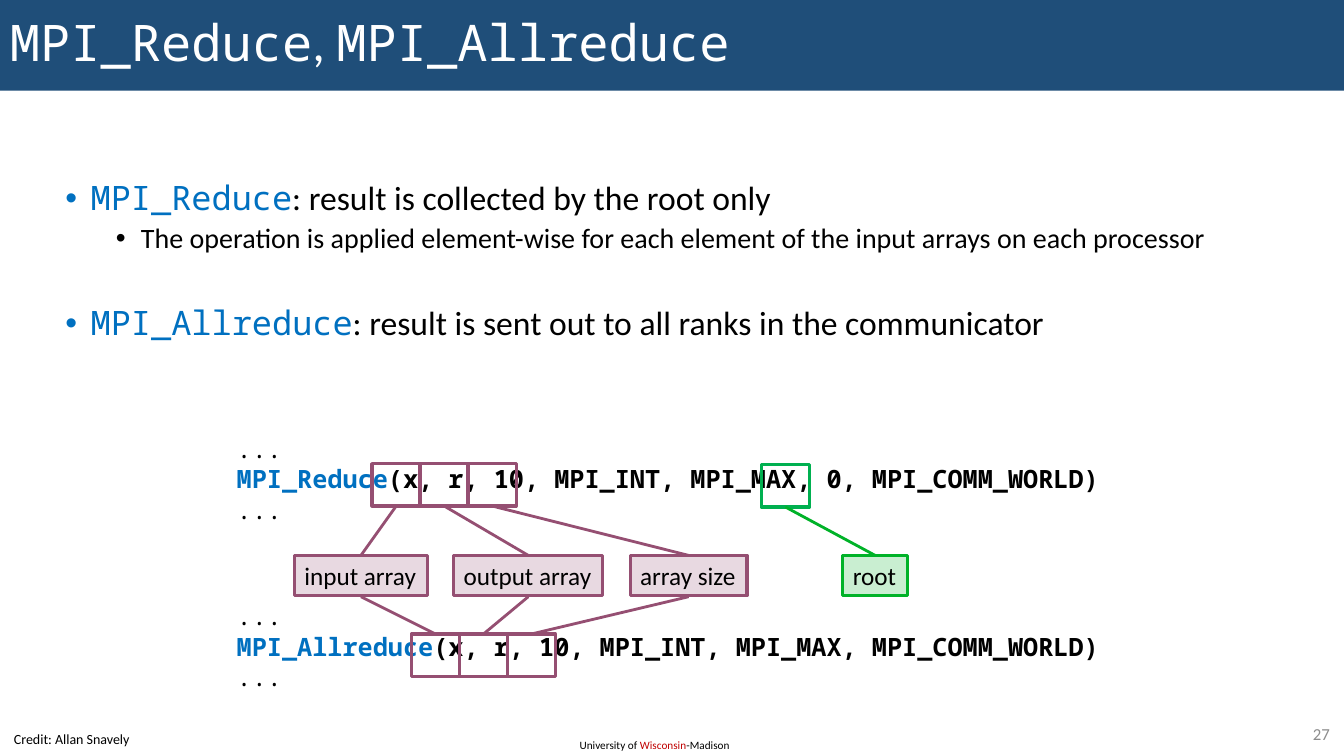
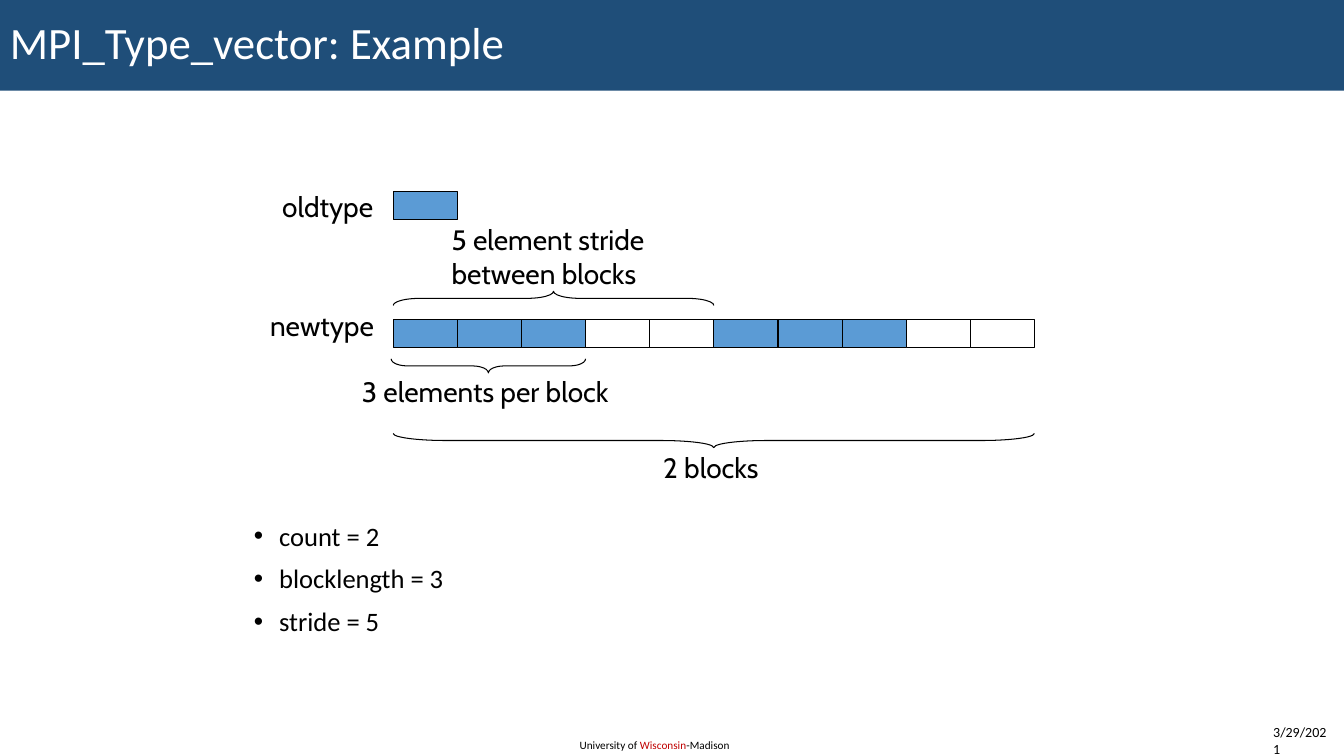
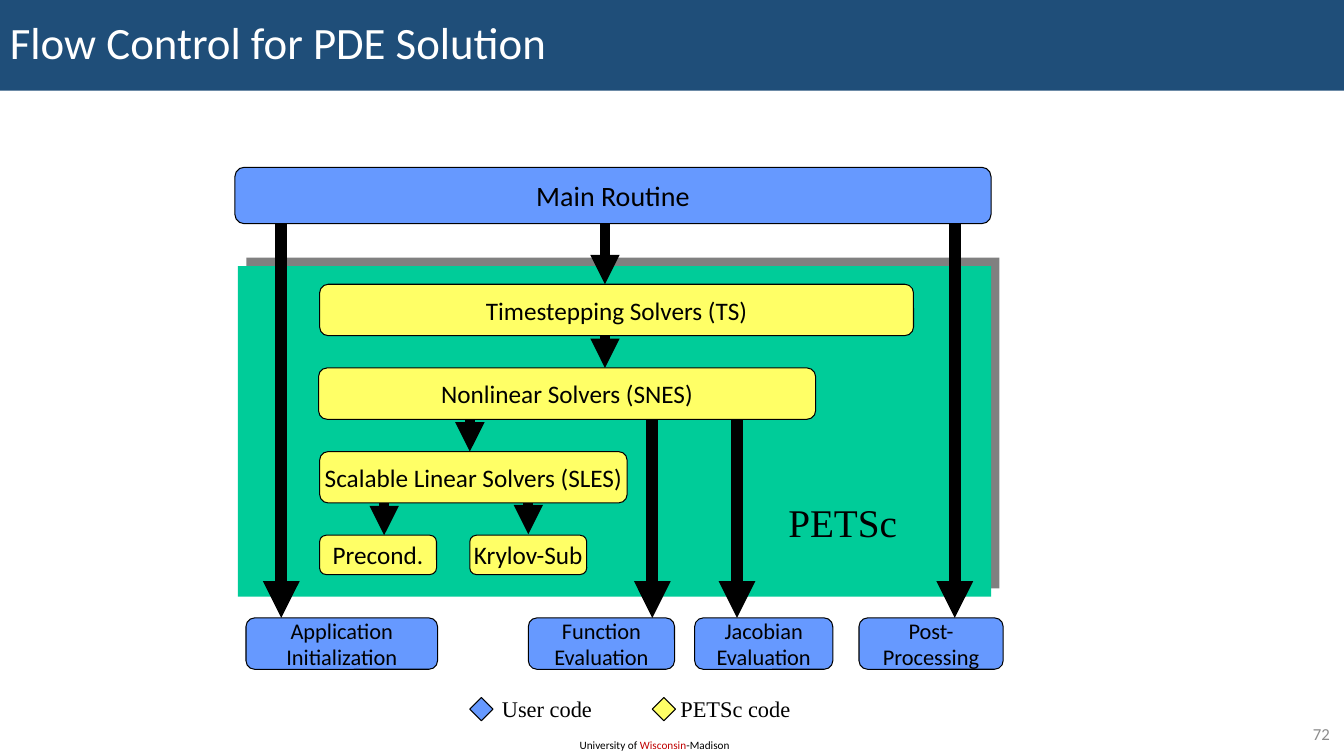
from dataclasses import dataclass
from typing import NamedTuple

from lxml import etree
from pptx import Presentation
from pptx.dml.color import RGBColor
from pptx.enum.shapes import MSO_CONNECTOR, MSO_SHAPE
from pptx.enum.text import MSO_ANCHOR, MSO_AUTO_SIZE, PP_ALIGN
from pptx.oxml.ns import qn
from pptx.util import Inches, Pt

RECT, ROUNDED = MSO_SHAPE.RECTANGLE, MSO_SHAPE.ROUNDED_RECTANGLE
DIAMOND, BRACE = MSO_SHAPE.DIAMOND, MSO_SHAPE.LEFT_BRACE
STRAIGHT = MSO_CONNECTOR.STRAIGHT
LEFT, CENTER, RIGHT = PP_ALIGN.LEFT, PP_ALIGN.CENTER, PP_ALIGN.RIGHT
TOP, MIDDLE = MSO_ANCHOR.TOP, MSO_ANCHOR.MIDDLE

COLORS = {
    "band": "1F4E79", "white": "FFFFFF", "black": "000000", "number": "8C8C8C",
    "accent": "C00000", "keyword": "0070C0", "array": "954F72", "root": "00B228",
    "root_slot": "00B050", "element": "5B9BD5", "user": "6699FF",
    "library": "FFFF66", "panel": "00CC99", "shadow": "808080",
}
SANS, MONO, SERIF, CABIN = "Calibri", "Noto Sans Mono", "Times New Roman", "Cabin"


class Box(NamedTuple):
    left: float
    top: float
    width: float
    height: float


class Run(NamedTuple):
    text: str
    size: float
    color: str = "black"
    font: str = SANS
    bold: bool = False


@dataclass
class Para:
    runs: list[Run]
    align: PP_ALIGN = LEFT
    spacing: float = 1
    before: float = 0
    bullet_at: float = 0


class Node(NamedTuple):
    box: Box
    lines: list[str]
    size: float
    color: str


class Arrow(NamedTuple):
    x: float
    start: float
    end: float
    weight: float


# Shared drawing functions
def rgb(name: str) -> RGBColor:
    return RGBColor.from_string(COLORS[name])


def write(shape, paras: list[Para], anchor=TOP, wrap=True, grow=False) -> None:
    frame = shape.text_frame
    frame.word_wrap = wrap
    frame.vertical_anchor = anchor
    frame.auto_size = MSO_AUTO_SIZE.SHAPE_TO_FIT_TEXT if grow else MSO_AUTO_SIZE.NONE
    for i, para in enumerate(paras):
        p = frame.add_paragraph() if i else frame.paragraphs[0]
        p.alignment, p.line_spacing = para.align, para.spacing
        p.space_before = Pt(para.before)
        if para.bullet_at:
            props = p._p.get_or_add_pPr()
            props.set("marL", str(Inches(para.bullet_at)))
            props.set("indent", str(Inches(-0.25)))
            etree.SubElement(props, qn("a:buFont"), typeface="Arial")
            etree.SubElement(props, qn("a:buChar"), char="•")
        for part in para.runs:
            run = p.add_run()
            run.text = part.text
            run.font.size, run.font.name = Pt(part.size), part.font
            run.font.bold = part.bold
            run.font.color.rgb = rgb(part.color)


def add_text(slide, box: Box, paras: list[Para], **layout) -> None:
    write(slide.shapes.add_textbox(*map(Inches, box)), paras, **layout)


def add_shape(slide, kind, box: Box, fill="", line="", weight=0.75, alpha=100):
    shape = slide.shapes.add_shape(kind, *map(Inches, box))
    shape.shadow.inherit = False
    if fill:
        shape.fill.solid()
        shape.fill.fore_color.rgb = rgb(fill)
        if alpha < 100:
            color = shape._element.spPr.find(qn("a:solidFill"))[0]
            etree.SubElement(color, qn("a:alpha"), val=str(alpha * 1000))
    else:
        shape.fill.background()
    if line:
        shape.line.color.rgb = rgb(line)
        shape.line.width = Pt(weight)
    else:
        shape.line.fill.background()
    return shape


def add_line(slide, x1, y1, x2, y2, color: str, weight: float, arrow=False) -> None:
    line = slide.shapes.add_connector(STRAIGHT, *map(Inches, (x1, y1, x2, y2)))
    line.line.color.rgb = rgb(color)
    line.line.width = Pt(weight)
    if arrow:
        etree.SubElement(line.line._ln, qn("a:tailEnd"), type="triangle")
    etree.SubElement(line._element.spPr, qn("a:effectLst"))


def start_slide(prs, title: list[Run]):
    slide = prs.slides.add_slide(prs.slide_layouts[6])
    footer = [Run("University of ", 8), Run("Wisconsin", 8, "accent"), Run("-Madison", 8)]
    add_text(slide, Box(5.65, 7.28, 1.72, 0.24), [Para(footer)], grow=True)
    band = add_shape(slide, RECT, Box(0, 0, 13.33, 0.9), "band")
    write(band, [Para(title, spacing=0.9)], anchor=MIDDLE)
    return slide


def add_corner(slide, run: Run, align=RIGHT, anchor=MIDDLE) -> None:
    add_text(slide, Box(12.53, 7.13, 0.76, 0.29), [Para([run], align)], anchor=anchor)


# Slide: reductions
def add_call(slide, top: float, function: str, arguments: str) -> None:
    dots = Para([Run("...", 18, font=MONO)])
    call = Para([Run(function, 18, "keyword", MONO, True),
                 Run(arguments, 18, font=MONO, bold=True)])
    add_text(slide, Box(2.25, top, 9, 1.4), [dots, call, dots])


def add_argument(slide, left: float, width: float, name: str, color: str) -> float:
    """Draw a named argument and return its middle."""
    box = add_shape(slide, RECT, Box(left, 5.51, width, 0.4), color, color, 2.25, 21)
    write(box, [Para([Run(name, 18)])], wrap=False, grow=True)
    return left + width / 2


def build_reduce(prs) -> None:
    slide = start_slide(prs, [Run("MPI_Reduce", 36, "white", MONO), Run(", ", 36, "white"),
                              Run("MPI_Allreduce", 36, "white", MONO)])
    add_call(slide, 5.91, "MPI_Allreduce", "(x, r, 10, MPI_INT, MPI_MAX, MPI_COMM_WORLD)")
    add_call(slide, 4.25, "MPI_Reduce", "(x, r, 10, MPI_INT, MPI_MAX, 0, MPI_COMM_WORLD)")
    add_corner(slide, Run("27", 12, "number"))

    def point(function: str, meaning: str, before: float) -> Para:
        return Para([Run(function, 24, "keyword", MONO), Run(meaning, 24)],
                    spacing=0.9, before=before, bullet_at=0.25)

    detail = ("The operation is applied element-wise for each element "
              "of the input arrays on each processor")
    add_text(slide, Box(0.55, 1.75, 12.79, 2.07), [
        point("MPI_Reduce", ": result is collected by the root only", 10),
        Para([Run(detail, 20)], spacing=0.9, before=5, bullet_at=0.75),
        point("MPI_Allreduce", ": result is sent out to all ranks in the communicator", 37),
    ])

    # Arguments tied to their slots in both calls
    slot_w, slot_h, slot_step = 0.48, 0.42, 0.475
    reduce_top, allreduce_top = 4.6, 6.29
    arguments = [(2.92, 1.32, "input array"), (4.5, 1.48, "output array"),
                 (6.25, 1.16, "array size")]
    for i, (left, width, name) in enumerate(arguments):
        middle = add_argument(slide, left, width, name, "array")
        for first, top, slot_edge, name_edge in (
                (3.69, reduce_top, reduce_top + slot_h, 5.51),
                (4.08, allreduce_top, allreduce_top, 5.92)):
            x = first + i * slot_step
            add_shape(slide, RECT, Box(x, top, slot_w, slot_h), line="array", weight=2.25)
            add_line(slide, x + slot_w / 2, slot_edge, middle, name_edge, "array", 2)
    root_middle = add_argument(slide, 8.36, 0.64, "root", "root")
    add_shape(slide, RECT, Box(7.55, 4.61, slot_w, slot_h), line="root_slot", weight=2.25)
    add_line(slide, 7.79, 5.03, root_middle, 5.51, "root", 2)
    add_text(slide, Box(0.04, 7.2, 1.37, 0.27),
             [Para([Run("Credit: Allan Snavely", 10)])], wrap=False, grow=True)


# Slide: vector type
def add_brace(slide, left: float, span: float, middle: float, turn: int) -> None:
    depth = 0.14
    box = Box(left + (span - depth) / 2, middle - span / 2, depth, span)
    brace = add_shape(slide, BRACE, box, line="black")
    brace.rotation = turn
    brace.adjustments[0] = 0.59 * span
    brace.adjustments[1] = 0.5


def build_vector(prs) -> None:
    slide = start_slide(prs, [Run("MPI_Type_vector: Example", 32, "white")])
    add_corner(slide, Run("3/29/2021", 10), LEFT, TOP)
    parameters = ["count = 2", "blocklength = 3", "stride = 5"]
    add_text(slide, Box(2.42, 5.14, 8.5, 1.55),
             [Para([Run(text, 19)], spacing=0.9, before=10, bullet_at=0.25)
              for text in parameters])

    # Elements: two blocks, each a stride of five with three filled
    left, blocks, stride, filled = 3.9, 2, 5, 3
    total = 6.36
    element_w = total / (blocks * stride)
    add_shape(slide, RECT, Box(left, 1.9, element_w, 0.28), "element", "black")
    for i in range(blocks * stride):
        fill = "element" if i % stride < filled else "white"
        add_shape(slide, RECT, Box(left + i * element_w, 3.17, element_w, 0.28), fill, "black")
    add_brace(slide, left, stride * element_w, 2.96, 90)
    add_brace(slide, left - 0.02, filled * element_w + 0.02, 3.63, 270)
    add_brace(slide, left, total, 4.37, 270)

    labels = [
        (Box(2.7, 1.83, 1.12, 0.43), ["oldtype"]),
        (Box(2.58, 3.01, 1.24, 0.43), ["newtype"]),
        (Box(4.38, 2.16, 2.19, 0.77), ["5 element stride", "between blocks"]),
        (Box(3.49, 3.67, 2.75, 0.43), ["3 elements per block"]),
        (Box(6.48, 4.42, 1.2, 0.43), ["2 blocks"]),
    ]
    for box, lines in labels:
        add_text(slide, box, [Para([Run(line, 20, font=CABIN)]) for line in lines],
                 wrap=False, grow=True)


# Slide: flow control
def add_node(slide, node: Node) -> None:
    shape = add_shape(slide, ROUNDED, node.box, node.color, "black")
    shape.adjustments[0] = 0.167
    write(shape, [Para([Run(line, node.size)], CENTER) for line in node.lines],
          anchor=MIDDLE, wrap=False)


def add_panel(slide) -> None:
    panel = add_shape(slide, RECT, Box(2.36, 2.64, 7.47, 3.28), "panel")
    effects = panel._element.spPr.find(qn("a:effectLst"))
    shadow = etree.SubElement(effects, qn("a:outerShdw"), blurRad="0", dist=str(Pt(8.5)),
                              dir=str(315 * 60000), algn="ctr", rotWithShape="0")
    etree.SubElement(shadow, qn("a:srgbClr"), val=COLORS["shadow"])


def build_flow(prs) -> None:
    slide = start_slide(prs, [Run("Flow Control for PDE Solution", 32, "white")])
    add_corner(slide, Run("72", 12, "number"))

    # Legend
    for left, color, text_left, width, text in (
            (4.66, "user", 4.88, 1.11, "User code"),
            (6.47, "library", 6.65, 1.29, "PETSc code")):
        add_shape(slide, DIAMOND, Box(left, 6.92, 0.23, 0.23), color, "black")
        add_text(slide, Box(text_left, 6.85, width, 0.37),
                 [Para([Run(text, 16, font=SERIF)])], wrap=False, grow=True)

    add_panel(slide)
    add_text(slide, Box(7.72, 4.89, 1.51, 0.57),
             [Para([Run("PETSc", 28, font=SERIF)])], grow=True)

    row_h = 0.51
    user_steps = [(2.44, 1.9, ["Application", "Initialization"]),
                  (5.24, 1.45, ["Function", "Evaluation"]),
                  (6.89, 1.37, ["Jacobian", "Evaluation"]),
                  (8.52, 1.43, ["Post-", "Processing"])]
    for left, width, lines in user_steps:
        add_node(slide, Node(Box(left, 6.13, width, row_h), lines, 16, "user"))
    for left, name in ((3.17, "Precond."), (4.66, "Krylov-Sub")):
        add_node(slide, Node(Box(left, 5.31, 1.16, 0.39), [name], 18, "library"))

    # Arrows start beneath the boxes drawn after them
    long_weight, short_weight = 8.75, 7
    arrows = [
        Arrow(6.47, 4.16, 6.13, long_weight), Arrow(7.31, 4.16, 6.13, long_weight),
        Arrow(9.47, 2.22, 6.13, long_weight), Arrow(2.79, 2.22, 6.13, long_weight),
        Arrow(3.81, 4.8, 5.31, short_weight), Arrow(4.66, 3.97, 4.48, short_weight),
        Arrow(5.24, 4.79, 5.3, short_weight), Arrow(6, 3.14, 3.65, short_weight),
        Arrow(6, 2.22, 2.82, short_weight),
    ]
    for arrow in arrows:
        add_line(slide, arrow.x, arrow.start, arrow.x, arrow.end, "black", arrow.weight, True)

    for node in (
            Node(Box(2.33, 1.66, 7.5, 0.56), ["Main Routine"], 20, "user"),
            Node(Box(3.17, 4.48, 3.05, row_h), ["Scalable Linear Solvers (SLES)"], 18, "library"),
            Node(Box(3.16, 3.65, 4.93, row_h), ["Nonlinear Solvers (SNES)"], 18, "library"),
            Node(Box(3.17, 2.82, 5.89, row_h), ["Timestepping Solvers (TS)"], 18, "library")):
        add_node(slide, node)


def main() -> None:
    prs = Presentation()
    prs.slide_width, prs.slide_height = Inches(13.33), Inches(7.5)
    build_reduce(prs)
    build_vector(prs)
    build_flow(prs)
    prs.save("out.pptx")


if __name__ == "__main__":
    main()
